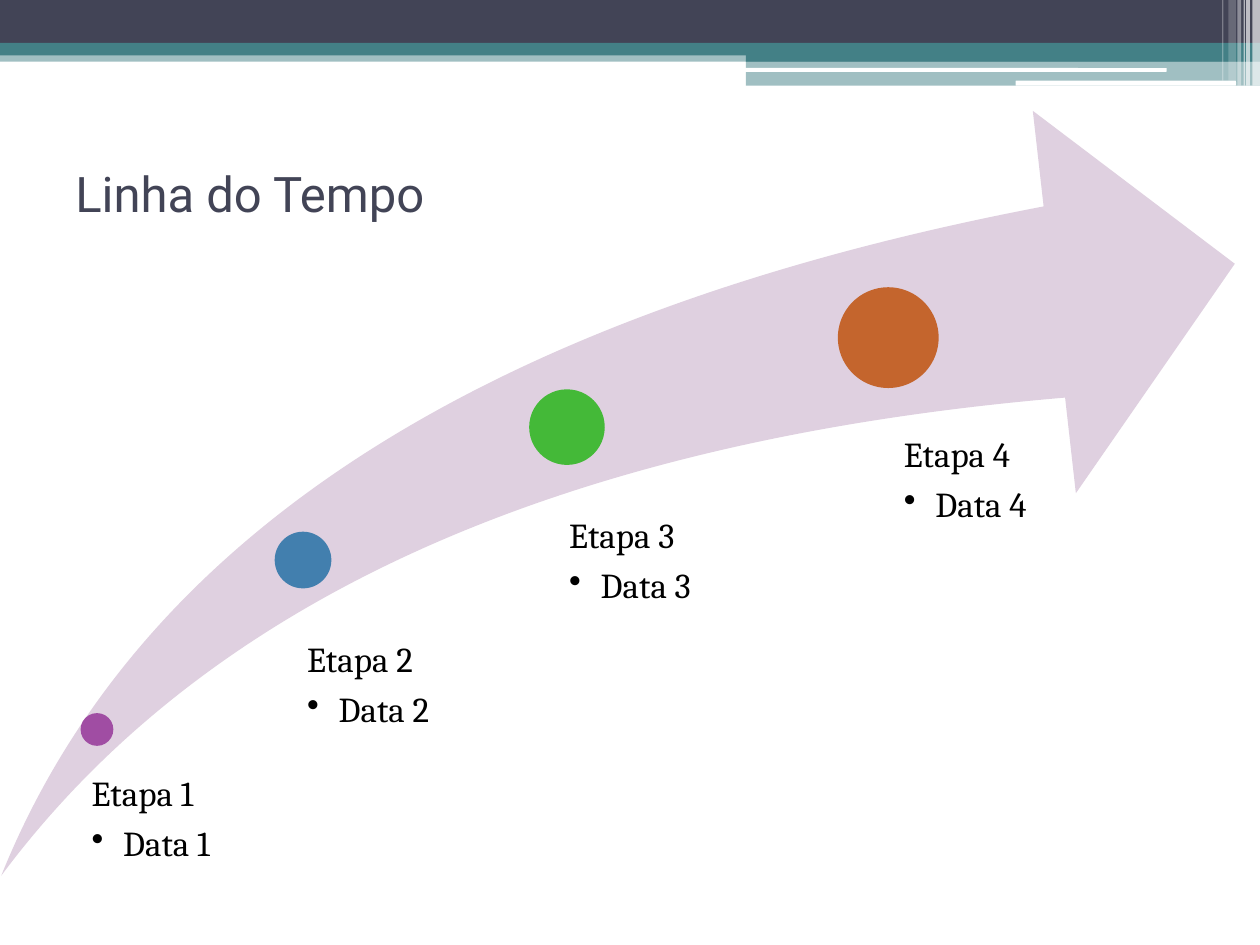
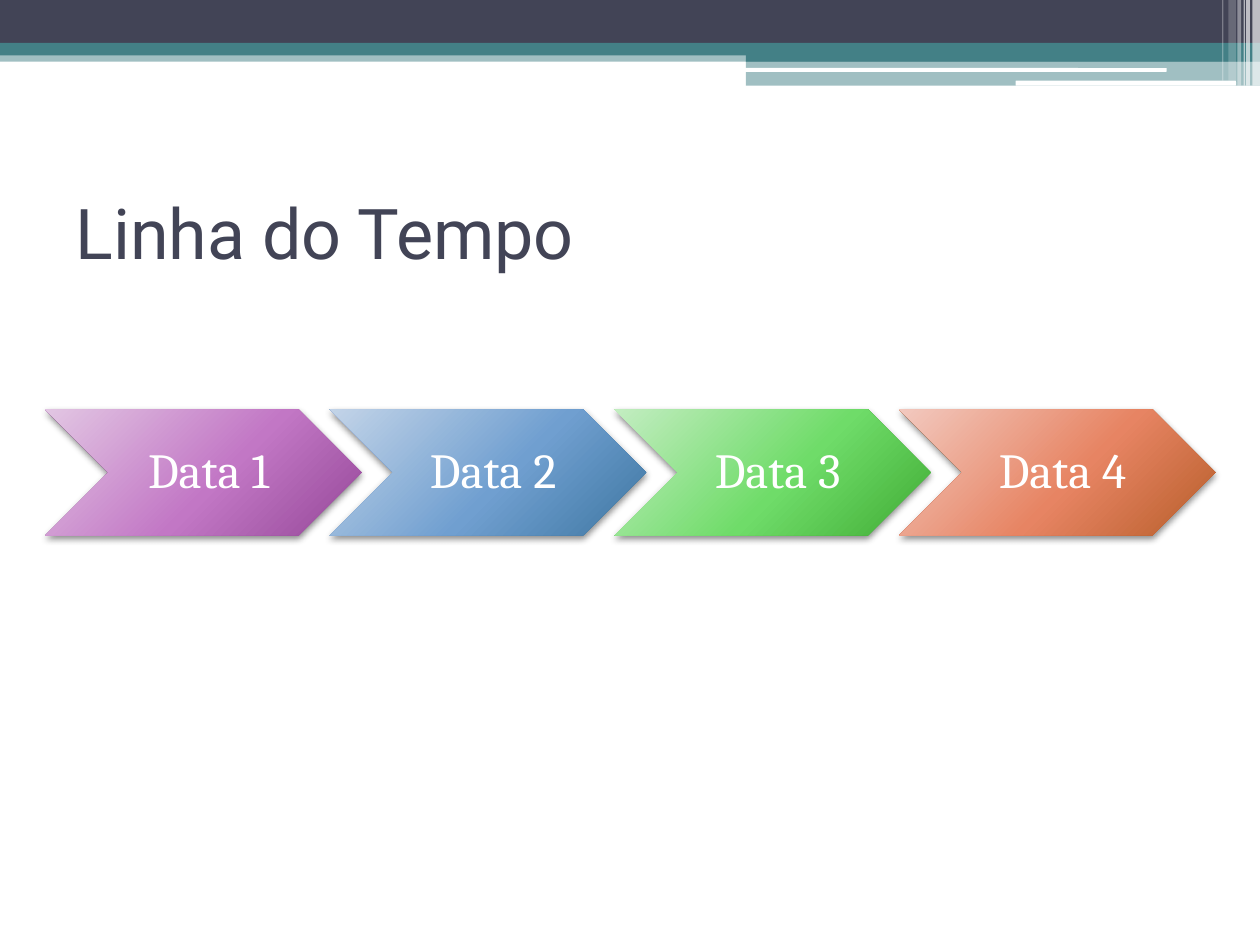
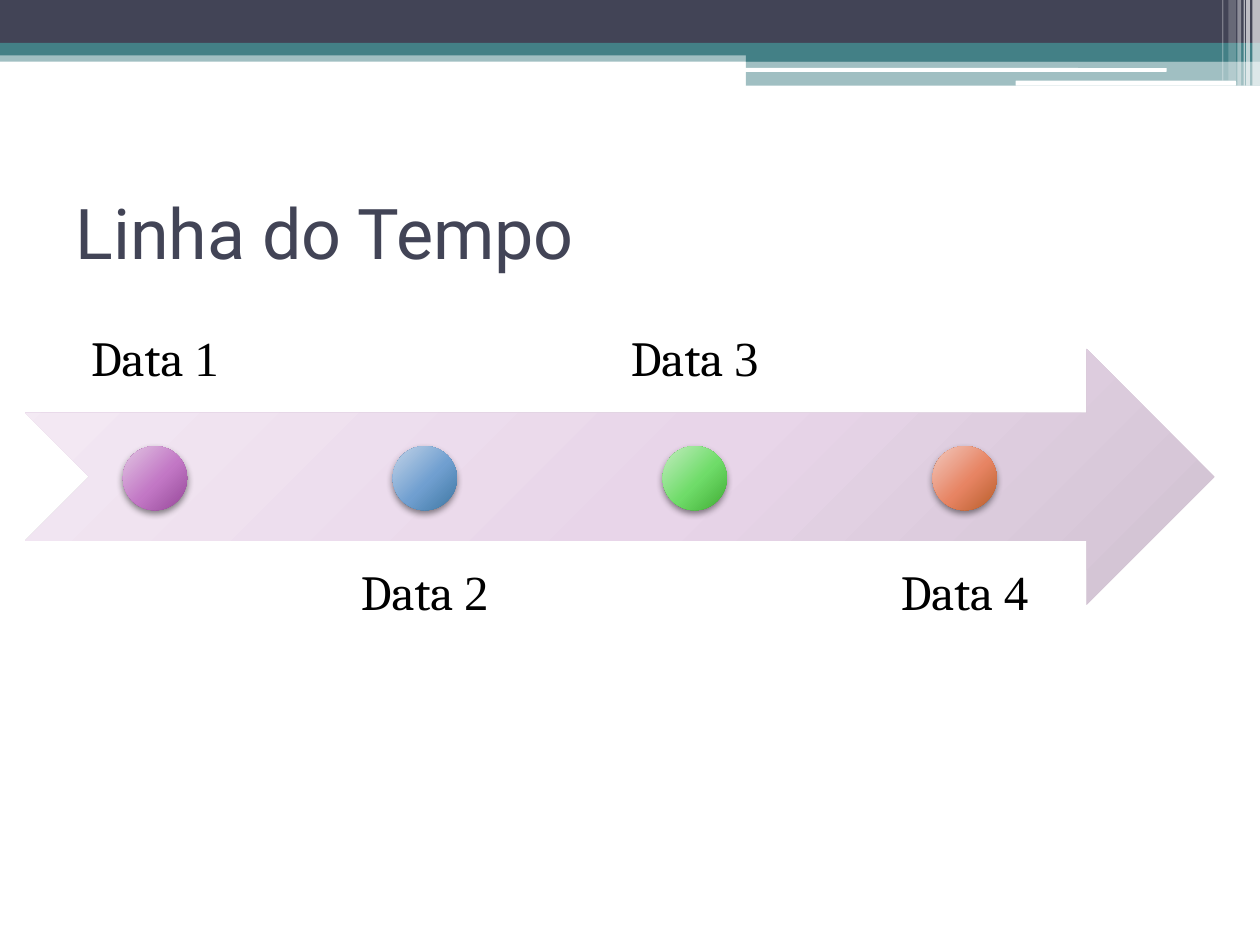
from lxml import etree
from pptx import Presentation
from pptx import util as u
from pptx.dml.color import RGBColor
from pptx.enum import shapes, text
from pptx.oxml.ns import qn

SHAPE = shapes.MSO_SHAPE
ALIGN = text.PP_ALIGN
ANCHOR = text.MSO_ANCHOR

COLOURS = {
    "navy": "424456", "teal": "438086", "white": "FFFFFF", "black": "000000",
    "mauve": "DFD0E0", "purple": "A04DA3", "blue": "427FAE",
    "green": "44B938", "orange": "C4652D",
}
# Light, middle and dark stops of each shaded fill
SHADES = {
    "mauve": ("F4EAF4", "E8D5E9", "D0C2D1"),
    "purple": ("E2C6E3", "C277C5", "954898"),
    "blue": ("C3D4E8", "709FD0", "3E77A2"),
    "green": ("C3EDC1", "6FDC69", "40AC34"),
    "orange": ("F2C9BF", "E78463", "B75E2A"),
}
STEP_COLOURS = ("purple", "blue", "green", "orange")
STOPS = (0, 55, 100)
COLUMNS, ROWS = 100, 75
TITLE = "Linha do Tempo"
TITLE_FONT, BODY_FONT, DIGIT_FONT = "Roboto", "Cambria", "Times New Roman"

# Header parts: left, top, width, height, colour, opacity
BANDS = [
    (0, 4, 100, 0.9, "teal", 50),
    (0, 0, 100, 3.4, "navy", 100),
    (0, 3.4, 100, 1, "teal", 100),
    (59.2, 3.9, 40.8, 1, "teal", 100),
    (59.2, 4.8, 40.8, 2, "teal", 50),
]
RULES = [(59.1, 5.4, 33.5, 0.3), (80.6, 6.4, 17.5, 0.4)]
# Stripes at the right end: left, width, height, opacity
STRIPES = [
    (99.4, 0.6, 6.8, 65), (98.9, 0.3, 6.8, 65), (98.7, 0.1, 6.8, 60),
    (98.2, 0.3, 6.8, 40), (97.5, 0.6, 6.4, 20), (97, 0.1, 6.4, 30),
]


def add_node(parent, tag, **attributes):
    values = {name: str(value) for name, value in attributes.items()}
    return etree.SubElement(parent, qn(tag), values)


class Timeline:
    def __init__(self):
        self.deck = Presentation()
        self.deck.slide_width, self.deck.slide_height = u.Inches(10), u.Inches(7.5)
        self.page = None

    def across(self, columns):
        return round(self.deck.slide_width * columns / COLUMNS)

    def down(self, rows):
        return round(self.deck.slide_height * rows / ROWS)

    def place(self, left, top, width, height):
        return self.across(left), self.down(top), self.across(width), self.down(height)

    def new_page(self, title_size, title_anchor):
        self.page = self.deck.slides.add_slide(self.deck.slide_layouts[6])
        self.header()
        box = self.text_box((5, 12.5, 90, 11.7), (1, 0.5, 1, 0.5), title_anchor)
        self.span(box.text_frame.paragraphs[0], TITLE, title_size, "navy", TITLE_FONT)

    def header(self):
        for *area, colour, opacity in BANDS:
            self.solid(SHAPE.RECTANGLE, area, colour, opacity)
        for area in RULES:
            self.solid(SHAPE.ROUNDED_RECTANGLE, area, "white")
        for left, width, height, opacity in STRIPES:
            self.solid(SHAPE.RECTANGLE, (left, 0, width, height), "white", opacity)

    def shape(self, kind, area):
        box = self.page.shapes.add_shape(kind, *self.place(*area))
        box.shadow.inherit = False
        box.line.fill.background()
        return box

    def solid(self, kind, area, colour, opacity=100):
        box = self.shape(kind, area)
        box.fill.solid()
        box.fill.fore_color.rgb = RGBColor.from_string(COLOURS[colour])
        if opacity < 100:
            tone = box.element.spPr.find(qn("a:solidFill"))[0]
            add_node(tone, "a:alpha", val=opacity * 1000)
        return box

    def shaded(self, kind, area, colour, shadow=True):
        """Add a shape lit from beyond its top left corner."""
        box = self.shape(kind, area)
        properties = box.element.spPr
        fill = add_node(properties, "a:gradFill", rotWithShape=1)
        stops = add_node(fill, "a:gsLst")
        for position, tone in zip(STOPS, SHADES[colour]):
            stop = add_node(stops, "a:gs", pos=position * 1000)
            add_node(stop, "a:srgbClr", val=tone)
        glow = add_node(fill, "a:path", path="circle")
        add_node(glow, "a:fillToRect", l=-40000, t=-90000, r=140000, b=190000)
        properties.find(qn("a:prstGeom")).addnext(fill)
        if shadow:
            cast = add_node(properties.find(qn("a:effectLst")), "a:outerShdw",
                            blurRad=u.Pt(4), dist=u.Pt(2), dir=90 * 60000,
                            rotWithShape=0)
            tone = add_node(cast, "a:srgbClr", val=COLOURS["black"])
            add_node(tone, "a:alpha", val=45000)
        return box

    def text_box(self, area, insets, anchor=ANCHOR.TOP):
        box = self.page.shapes.add_textbox(*self.place(*area))
        left, top, right, bottom = insets
        layout = {
            "word_wrap": True, "vertical_anchor": anchor,
            "margin_left": self.across(left), "margin_top": self.down(top),
            "margin_right": self.across(right), "margin_bottom": self.down(bottom),
        }
        for name, value in layout.items():
            setattr(box.text_frame, name, value)
        return box

    def space(self, para, after, align=ALIGN.LEFT):
        """Set tight lines, with the gap after as a percentage."""
        para.line_spacing, para.alignment = 0.9, align
        gap = add_node(para._p.get_or_add_pPr(), "a:spcAft")
        add_node(gap, "a:spcPct", val=after * 1000)

    def bullet(self, para):
        properties = para._p.get_or_add_pPr()
        properties.set("marL", str(self.across(2.5)))
        properties.set("indent", str(-self.across(2.5)))
        add_node(properties, "a:buChar", char="•")

    def span(self, para, words, size, colour, font=BODY_FONT):
        span = para.add_run()
        span.text = words
        for name, value in {"size": u.Pt(size), "name": font}.items():
            setattr(span.font, name, value)
        span.font.color.rgb = RGBColor.from_string(COLOURS[colour])

    def stage_label(self, area, inset, number):
        frame = self.text_box(area, (inset, 0, 0, 0)).text_frame
        heading, item = frame.paragraphs[0], frame.add_paragraph()
        self.space(heading, 35)
        self.span(heading, f"Etapa {number}", 20, "black")
        self.space(item, 15)
        self.bullet(item)
        self.span(item, f"Data {number}", 20, "black")

    def date_label(self, area, insets, anchor, spans, colour):
        para = self.text_box(area, insets, anchor).text_frame.paragraphs[0]
        self.space(para, 35, ALIGN.CENTER)
        for words, font in spans:
            self.span(para, words, 28, colour, font)


def swoosh_page(timeline):
    timeline.new_page(28, ANCHOR.TOP)
    swoosh = timeline.solid(SHAPE.SWOOSH_ARROW, (0.1, 8.8, 97.9, 60.7), "mauve")
    swoosh.adjustments[0] = swoosh.adjustments[1] = 0.25
    # Dot left, top and diameter, then the label's area
    stages = [
        (6.4, 56.6, 2.6, (5.9, 61.6, 23.3, 16.8)),
        (21.8, 42.2, 4.5, (22, 51, 23.7, 26.3)),
        (42, 30.9, 6, (42, 41.1, 23.7, 26.5)),
        (66.5, 22.8, 8, (67.5, 34.7, 23.7, 32.6)),
    ]
    for number, (stage, colour) in enumerate(zip(stages, STEP_COLOURS), 1):
        left, top, diameter, label = stage
        timeline.solid(SHAPE.OVAL, (left, top, diameter, diameter), colour)
        timeline.stage_label(label, diameter * 0.53, number)


def chevron_page(timeline):
    timeline.new_page(40, ANCHOR.MIDDLE)
    width, height, top = 25.1, 10, 32.5
    for index, colour in enumerate(STEP_COLOURS):
        left = 3.6 + index * width * 0.9
        timeline.shaded(SHAPE.CHEVRON, (left, top, width, height), colour)
        timeline.date_label((left + height / 2, top, width - height, height),
                            (1.2, 0.4, 0.4, 0.4), ANCHOR.MIDDLE,
                            [(f"Data {index + 1}", BODY_FONT)], "white")


def arrow_page(timeline):
    timeline.new_page(40, ANCHOR.MIDDLE)
    timeline.shaded(SHAPE.NOTCHED_RIGHT_ARROW, (2, 27.7, 94.4, 20.3), "mauve",
                    shadow=False)
    width, height, diameter = 20.4, 20.3, 5.1
    sides = [(12.5, ANCHOR.BOTTOM), (43, ANCHOR.TOP)]
    for index, colour in enumerate(STEP_COLOURS):
        left = 2.1 + index * width * 1.05
        top, anchor = sides[index % 2]
        timeline.date_label((left, top, width, height), (2.2,) * 4, anchor,
                            [("Data ", BODY_FONT), (str(index + 1), DIGIT_FONT)],
                            "black")
        dot_left = left + (width - diameter) / 2
        timeline.shaded(SHAPE.OVAL, (dot_left, 35.4, diameter, diameter), colour)


def main():
    timeline = Timeline()
    for build in (swoosh_page, chevron_page, arrow_page):
        build(timeline)
    timeline.deck.save("out.pptx")


if __name__ == "__main__":
    main()
